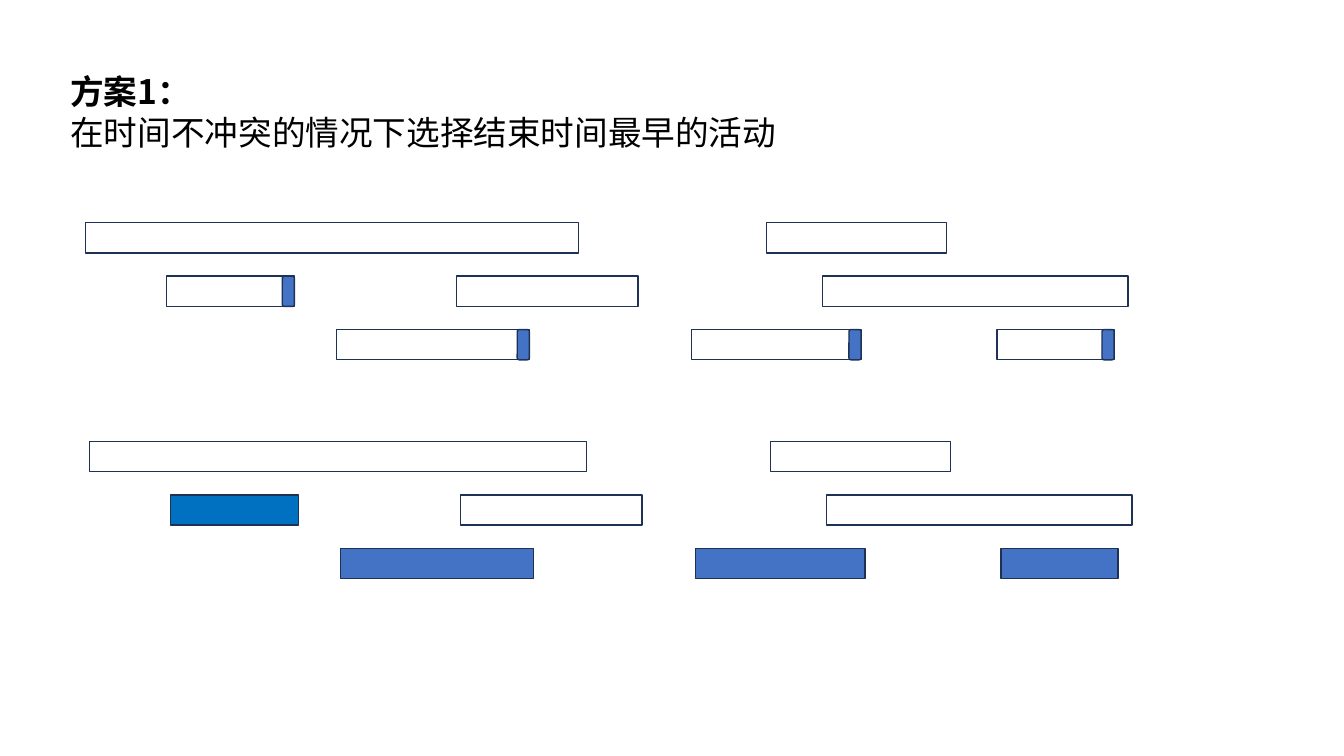
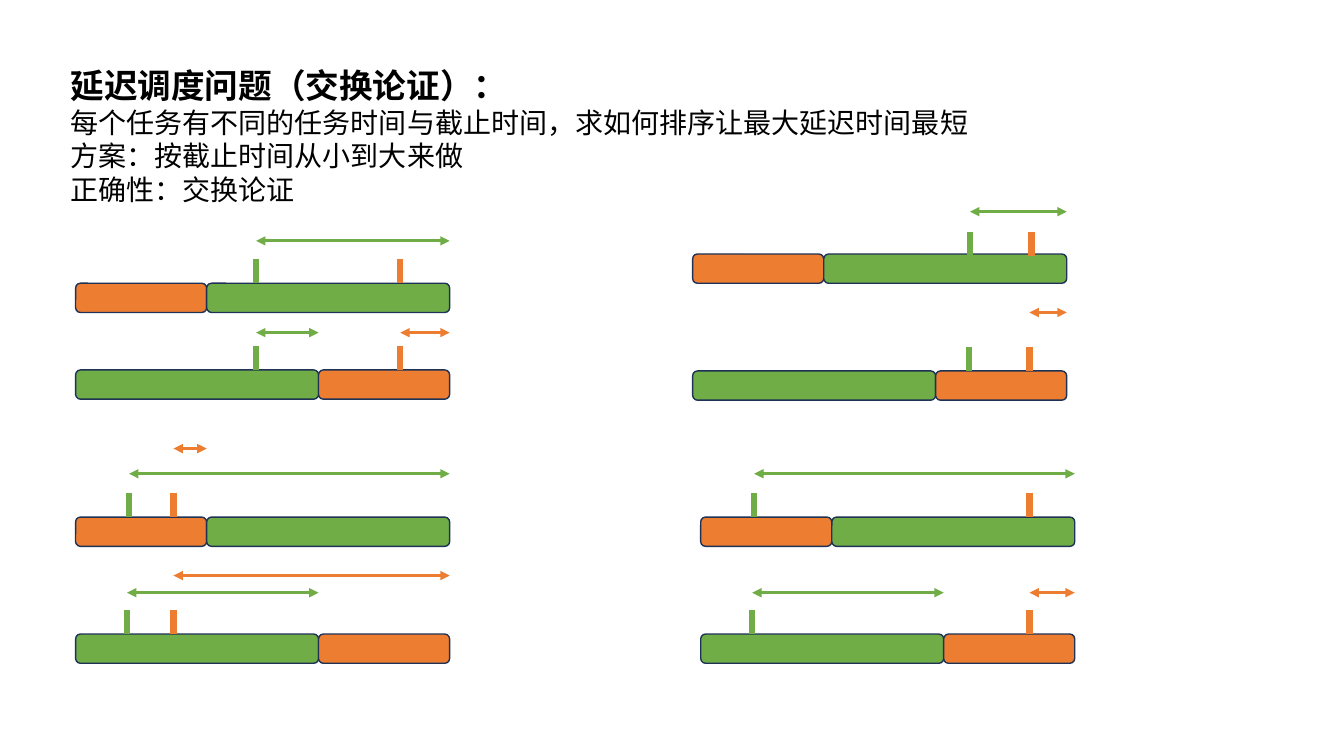
from dataclasses import dataclass
from typing import Optional

from lxml import etree
from pptx import Presentation
from pptx import util as u
from pptx.dml.color import RGBColor
from pptx.enum import shapes, text
from pptx.oxml.ns import qn

COLORS = {
    "text": "000000",
    "outline": "1E3256",
    "chosen": "4472C4",
    "first": "0070C0",
    "green": "70AD47",
    "orange": "ED7D31",
}
FONT = "Noto Sans CJK SC"
RECT = shapes.MSO_SHAPE.RECTANGLE
ROUNDED = shapes.MSO_SHAPE.ROUNDED_RECTANGLE

ROW_GAP = 0.53
ACTIVITY_HEIGHT = 0.3
END_MARK_WIDTH = 0.12

TASK_LENGTH = {"green": 2.41, "orange": 1.3}
TASK_HEIGHT = 0.29
TICK_HEIGHT = 0.24


@dataclass
class Activity:
    left: float
    row: int
    width: float
    fill: Optional[str] = None


@dataclass
class Panel:
    left_shift: float
    top: float
    longest: float
    solved: bool


@dataclass
class Task:
    color: str
    due: float
    arrow_y: Optional[float] = None


@dataclass
class Schedule:
    left: float
    top: float
    tasks: list[Task]
    tick_foot: float = 0


ACTIVITIES = [
    Activity(1.65, 1, 1.27, "first"),
    Activity(3.34, 2, 1.91, "chosen"),
    Activity(4.53, 1, 1.8),
    Activity(7.6, 0, 1.79),
    Activity(6.86, 2, 1.68, "chosen"),
    Activity(8.16, 1, 3.03),
    Activity(9.89, 2, 1.16, "chosen"),
]
PANELS = [Panel(0, 2.21, 4.89, False), Panel(0.04, 4.38, 4.93, True)]

SCHEDULES = [
    Schedule(0.75, 2.81, [Task("orange", 3.97), Task("green", 2.54, 2.39)]),
    Schedule(0.75, 3.67, [Task("green", 2.54, 3.3), Task("orange", 3.97, 3.3)]),
    Schedule(0.75, 5.13, [Task("orange", 1.72, 4.45), Task("green", 1.28, 4.7)]),
    Schedule(0.75, 6.29, [Task("green", 1.26, 5.88), Task("orange", 1.72, 5.71)]),
    Schedule(6.87, 2.52, [Task("orange", 10.23), Task("green", 9.62, 2.1)], 0.02),
    Schedule(6.87, 3.68, [Task("green", 9.61), Task("orange", 10.21, 3.1)]),
    Schedule(6.95, 5.13, [Task("orange", 10.21), Task("green", 7.48, 4.7)]),
    Schedule(6.95, 6.29, [Task("green", 7.46, 5.88), Task("orange", 10.21, 5.88)]),
]


def rgb(name: str) -> RGBColor:
    return RGBColor.from_string(COLORS[name])


def add_heading(s, top: float, width: float, height: float,
                lines: list[str], body_size: int) -> None:
    sp = s.shapes.add_textbox(u.Inches(0.6), u.Inches(top), u.Inches(width), u.Inches(height))
    tf = sp.text_frame
    tf.word_wrap = True
    tf.margin_top, tf.margin_bottom = u.Inches(0.08), u.Inches(0.02)
    tf.vertical_anchor = text.MSO_ANCHOR.TOP
    tf.text = "\n".join(lines)
    for i, p in enumerate(tf.paragraphs):
        size = body_size if i else 24
        p.line_spacing = u.Pt(round(size * 1.2))
        for r in p.runs:
            r.font.size = u.Pt(size)
            r.font.bold = i == 0
            r.font.name = FONT
            r.font.color.rgb = rgb("text")
            etree.SubElement(r.font._element, qn("a:ea"), typeface=FONT)


def add_bar(s, kind, left: float, top: float, width: float, height: float,
            fill: Optional[str] = None) -> None:
    sp = s.shapes.add_shape(kind, u.Inches(left), u.Inches(top), u.Inches(width), u.Inches(height))
    sp.shadow.inherit = False
    sp.line.color.rgb = rgb("outline")
    sp.line.width = u.Pt(1)
    if fill:
        sp.fill.solid()
        sp.fill.fore_color.rgb = rgb(fill)
    else:
        sp.fill.background()


def add_line(s, x1: float, y1: float, x2: float, y2: float,
             color: str, width: float, arrows: bool = False) -> None:
    cx = s.shapes.add_connector(shapes.MSO_CONNECTOR.STRAIGHT, u.Inches(x1), u.Inches(y1),
                                u.Inches(x2), u.Inches(y2))
    cx.line.color.rgb = rgb(color)
    cx.line.width = u.Pt(width)
    if arrows:
        ln = cx.line._get_or_add_ln()
        for end in ("a:headEnd", "a:tailEnd"):
            etree.SubElement(ln, qn(end), type="triangle")
    etree.SubElement(cx._element.spPr, qn("a:effectLst"))


def add_panel(s, panel: Panel) -> None:
    for a in [Activity(0.85, 0, panel.longest), *ACTIVITIES]:
        left = a.left + panel.left_shift
        top = panel.top + a.row * ROW_GAP
        add_bar(s, RECT, left, top, a.width, ACTIVITY_HEIGHT, a.fill if panel.solved else None)
        if a.fill and not panel.solved:
            add_bar(s, ROUNDED, left + a.width - END_MARK_WIDTH, top,
                    END_MARK_WIDTH, ACTIVITY_HEIGHT, "chosen")


def add_schedule(s, schedule: Schedule) -> None:
    finish = schedule.left
    finishes = []
    for task in schedule.tasks:
        length = TASK_LENGTH[task.color]
        add_bar(s, ROUNDED, finish, schedule.top, length, TASK_HEIGHT, task.color)
        finish += length
        finishes.append(finish)
    foot = schedule.top + schedule.tick_foot
    for task, finish in zip(schedule.tasks, finishes):
        add_line(s, task.due, foot - TICK_HEIGHT, task.due, foot, task.color, 4.5)
        if task.arrow_y is not None:
            add_line(s, task.due, task.arrow_y, finish, task.arrow_y, task.color, 2.25, True)


def main() -> None:
    prs = Presentation()
    prs.slide_width, prs.slide_height = u.Inches(13.33), u.Inches(7.5)
    blank = prs.slide_layouts[6]

    s = prs.slides.add_slide(blank)
    add_heading(s, 0.62, 7.27, 0.91, ["方案1：", "在时间不冲突的情况下选择结束时间最早的活动"], 24)
    for panel in PANELS:
        add_panel(s, panel)

    s = prs.slides.add_slide(blank)
    add_heading(s, 0.56, 9.32, 1.51, [
        "延迟调度问题（交换论证）：",
        "每个任务有不同的任务时间与截止时间，求如何排序让最大延迟时间最短",
        "方案：按截止时间从小到大来做",
        "正确性：交换论证",
    ], 20)
    for schedule in SCHEDULES:
        add_schedule(s, schedule)

    prs.save("out.pptx")


if __name__ == "__main__":
    main()
